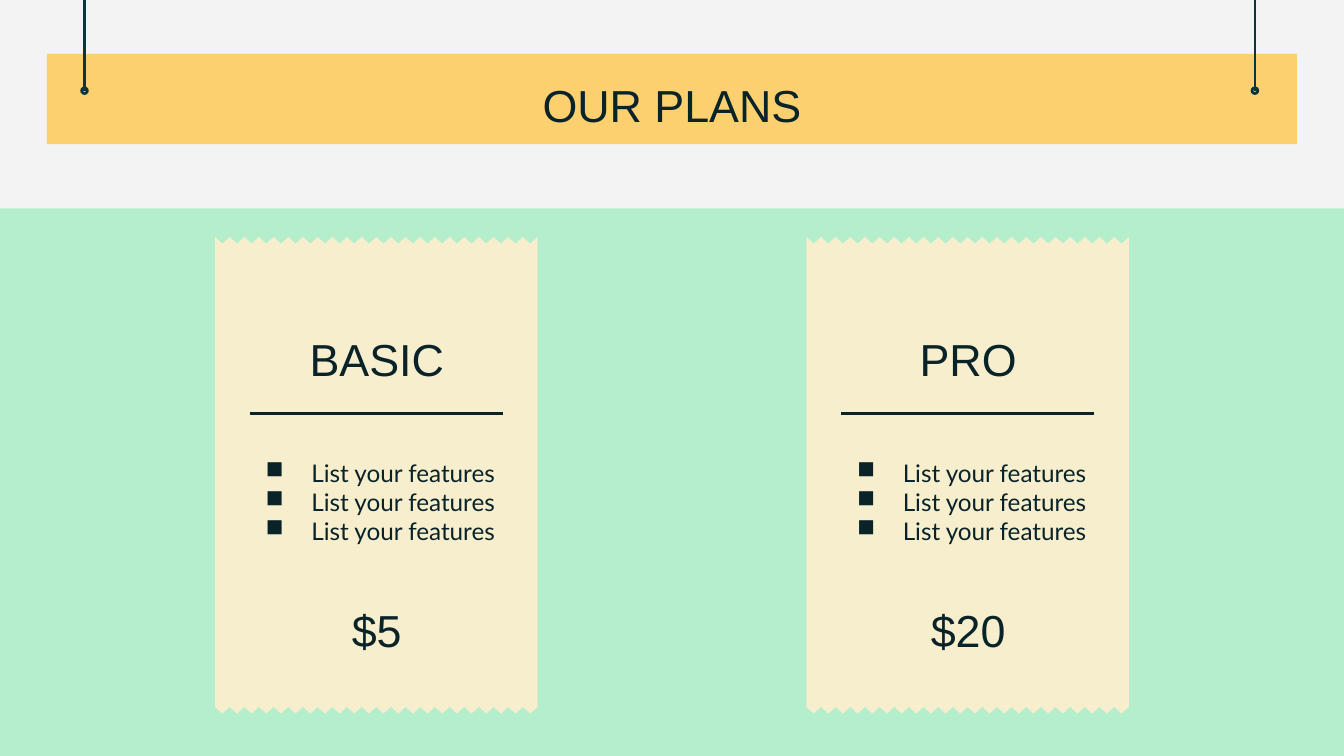
from lxml import etree
from pptx import Presentation
from pptx.dml.color import RGBColor
from pptx.enum.shapes import MSO_CONNECTOR, MSO_SHAPE
from pptx.enum.text import MSO_ANCHOR, PP_ALIGN
from pptx.oxml.ns import qn
from pptx.util import Pt

STRAIGHT = MSO_CONNECTOR.STRAIGHT
RECTANGLE, DONUT = MSO_SHAPE.RECTANGLE, MSO_SHAPE.DONUT
TOP, MIDDLE = MSO_ANCHOR.TOP, MSO_ANCHOR.MIDDLE
CENTER, LEFT = PP_ALIGN.CENTER, PP_ALIGN.LEFT

GREY = RGBColor(0xF3, 0xF3, 0xF3)
MINT = RGBColor(0xB5, 0xEE, 0xCC)
YELLOW = RGBColor(0xFC, 0xD0, 0x6F)
CREAM = RGBColor(0xF7, 0xEE, 0xCE)
TEAL = RGBColor(0x0C, 0x34, 0x3D)
INK = RGBColor(0x09, 0x23, 0x29)

deck = Presentation()
deck.slide_width, deck.slide_height = Pt(720), Pt(405)
page = deck.slides.add_slide(deck.slide_layouts[6])
page.background.fill.solid()
page.background.fill.fore_color.rgb = GREY


def add_line(x1, y1, x2, y2, color):
    line = page.shapes.add_connector(STRAIGHT, Pt(x1), Pt(y1), Pt(x2), Pt(y2))
    line.line.color.rgb = color
    line.line.width = Pt(1.5)
    etree.SubElement(line._element.spPr, qn("a:effectLst"))


def add_text(bounds, text, size=24, font="Arial", align=CENTER, anchor=TOP, top_inset=7.2):
    """Add a text box in one style and return its paragraphs."""
    box = page.shapes.add_textbox(*(Pt(length) for length in bounds))
    frame = box.text_frame
    frame.word_wrap = True
    frame.vertical_anchor = anchor
    frame.margin_left = frame.margin_right = frame.margin_bottom = Pt(7.2)
    frame.margin_top = Pt(top_inset)
    frame.text = text
    for para in frame.paragraphs:
        para.alignment = align
        for span in para.runs:
            span.font.size = Pt(size)
            span.font.name = font
            span.font.color.rgb = INK
    return frame.paragraphs


# Lower panel and title banner
for bounds, color in (((-2, 111.6, 724, 293.4), MINT), ((25.2, 28.8, 669.6, 48.4), YELLOW)):
    panel = page.shapes.add_shape(RECTANGLE, *(Pt(length) for length in bounds))
    panel.shadow.inherit = False
    panel.fill.solid()
    panel.fill.fore_color.rgb = color
    panel.line.fill.background()

# Wires that hold the banner, each ending in a ring
RING = 3.8
for wire_x in (45.3, 672.3):
    add_line(wire_x, 0, wire_x, 48.6, TEAL)
    ring = page.shapes.add_shape(
        DONUT, Pt(wire_x - RING / 2), Pt(48.6 - RING / 2), Pt(RING), Pt(RING))
    ring.adjustments[0] = 0.2
    ring.shadow.inherit = False
    ring.fill.solid()
    ring.fill.fore_color.rgb = TEAL
    ring.line.color.rgb = TEAL
    ring.line.width = Pt(0.75)

add_text((108.2, 33.1, 503.6, 45.4), "OUR PLANS", anchor=MIDDLE)

# Plan cards with zigzag edges
CARD_WIDTH, CARD_TOP, CARD_BOTTOM = 172.8, 127, 382.3
TEETH, TOOTH_DEPTH = 22, 3.6
HALF_TOOTH = CARD_WIDTH / (2 * TEETH)
FEATURES = ["List your features"] * 3

for card_x, plan, price in ((115.2, "BASIC", "$5"), (432, "PRO", "$20")):
    top_edge, bottom_edge = [], []
    for step in range(2 * TEETH + 1):
        x = Pt(card_x + step * HALF_TOOTH)
        depth = TOOTH_DEPTH * (step % 2)
        top_edge.append((x, Pt(CARD_TOP + depth)))
        bottom_edge.append((x, Pt(CARD_BOTTOM - TOOTH_DEPTH + depth)))
    outline = page.shapes.build_freeform(*top_edge[0])
    outline.add_line_segments(bottom_edge + top_edge[::-1], close=True)
    card = outline.convert_to_shape()
    card.shadow.inherit = False
    card.fill.solid()
    card.fill.fore_color.rgb = CREAM
    card.line.fill.background()

    features = add_text((card_x + 8.6, 238.3, 155.5, 68.4), "\n".join(FEATURES),
                        size=13, font="Lato", align=LEFT)
    for para in features:
        properties = para._p.get_or_add_pPr()
        properties.set("marL", str(Pt(36)))
        properties.set("indent", str(-Pt(24.5)))
        bullet_color = etree.SubElement(properties, qn("a:buClr"))
        etree.SubElement(bullet_color, qn("a:srgbClr"), val=str(INK))
        etree.SubElement(properties, qn("a:buChar"), char="■")

    for text_y, text in ((167.8, plan), (313.2, price)):
        add_text((card_x + 23, text_y, 127.4, 38.9), text, top_inset=9.8)
    add_line(card_x + 18.7, 221.6, card_x + 154.1, 221.6, INK)

deck.save("out.pptx")
